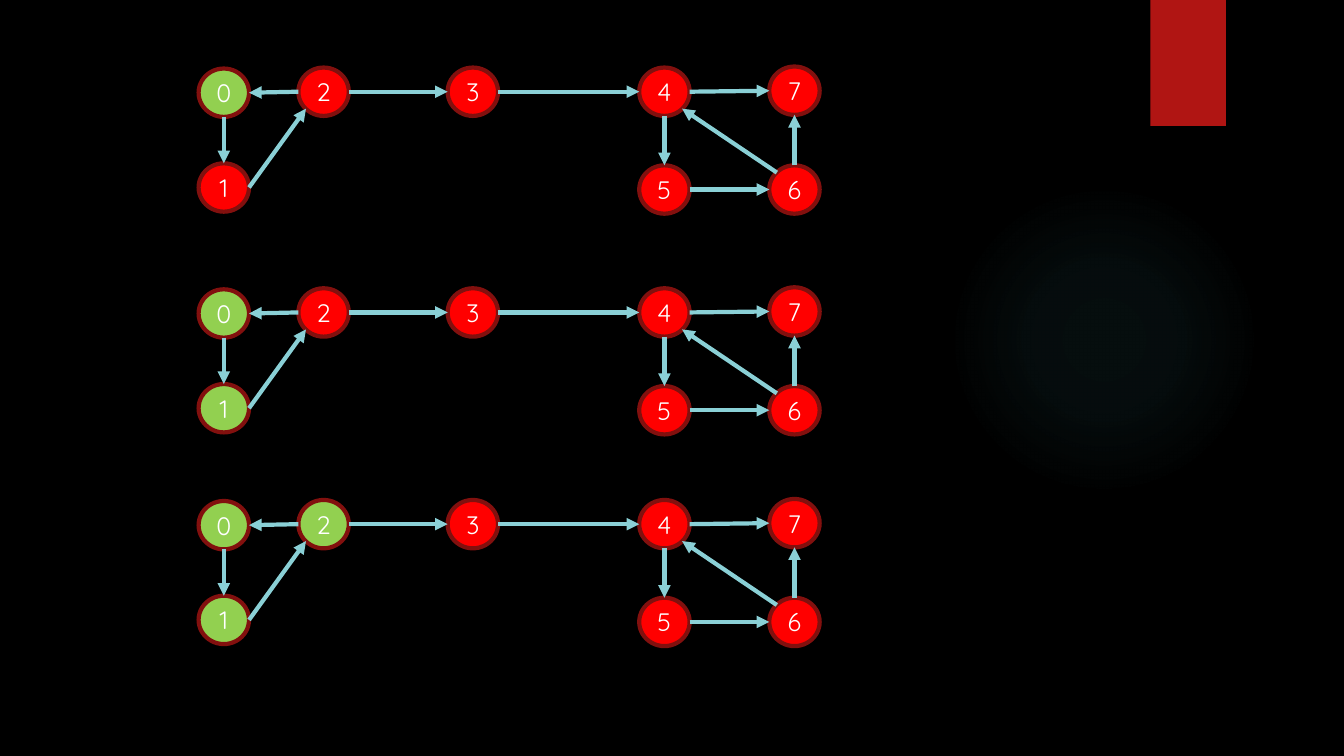
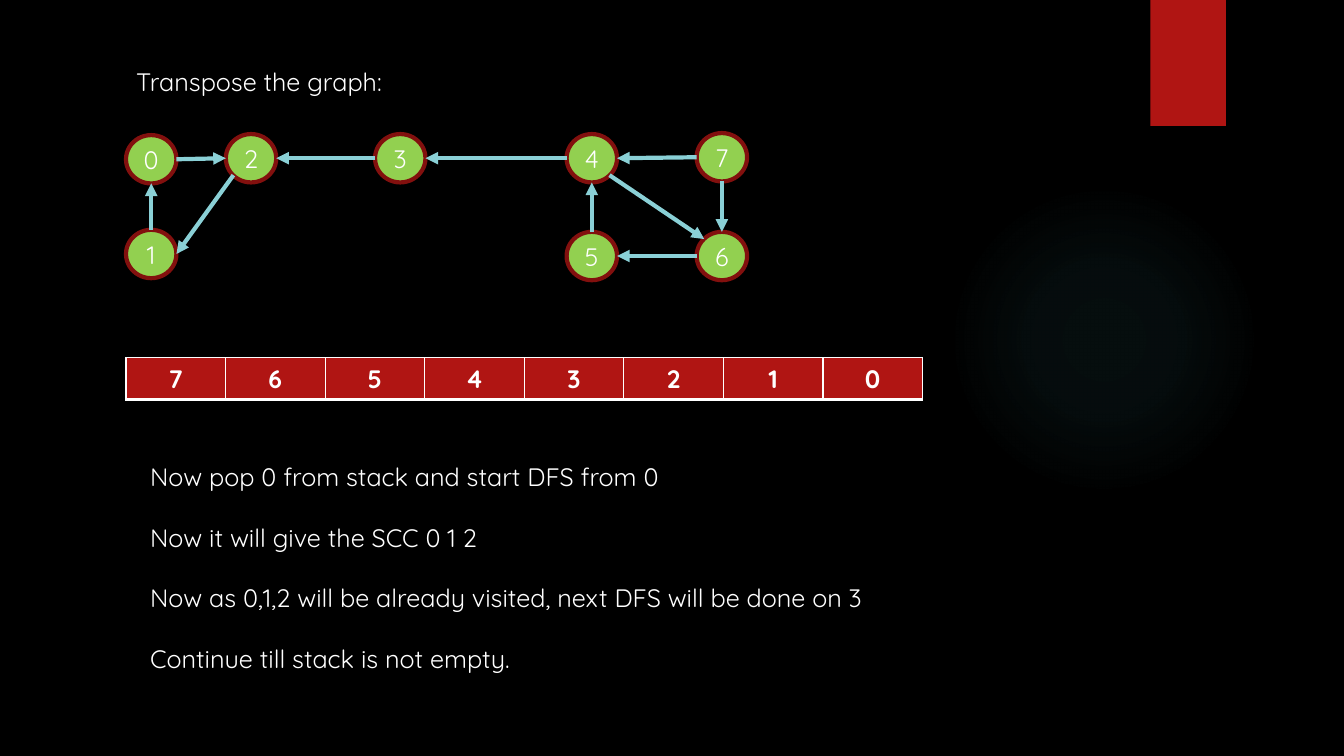
from dataclasses import dataclass

from lxml.etree import SubElement
from pptx import Presentation
from pptx.dml.color import RGBColor
from pptx.enum.shapes import MSO_CONNECTOR, MSO_SHAPE
from pptx.enum.text import MSO_ANCHOR, MSO_AUTO_SIZE, PP_ALIGN
from pptx.oxml import parse_xml
from pptx.oxml.ns import nsdecls, qn
from pptx.util import Inches, Pt


@dataclass(frozen=True)
class Theme:
    font: str = "Quicksand"
    size: int = 18
    line: int = 3
    para_gap: float = 21.6
    background: RGBColor = RGBColor(0x00, 0x00, 0x00)
    text: RGBColor = RGBColor(0xFF, 0xFF, 0xFF)
    accent: RGBColor = RGBColor(0xB0, 0x15, 0x13)
    ring: RGBColor = RGBColor(0x82, 0x10, 0x0E)
    unvisited: RGBColor = RGBColor(0xFF, 0x00, 0x00)
    visited: RGBColor = RGBColor(0x92, 0xD0, 0x50)
    arrow: RGBColor = RGBColor(0x8A, 0xD0, 0xD6)
    glow: RGBColor = RGBColor(0x50, 0xB9, 0xC1)


T = Theme()

NODE_W, NODE_H = 0.5, 0.48
# Node offsets from the top left of the graph
NODES = {
    0: (0, 0.01), 1: (0, 0.95), 2: (0.99, 0), 3: (2.47, 0),
    4: (4.37, 0), 5: (4.37, 0.97), 6: (5.66, 0.97), 7: (5.66, -0.01),
}
# Connection sites of an ellipse: index, then share of its width and height
SITES = {
    "top": (0, 0.5, 0), "top left": (1, 0.15, 0.15), "left": (2, 0, 0.5),
    "bottom left": (3, 0.15, 0.85), "bottom": (4, 0.5, 1),
    "bottom right": (5, 0.85, 0.85), "right": (6, 1, 0.5),
}
EDGES = [
    ((2, "left"), (0, "right")),
    ((0, "bottom"), (1, "top")),
    ((1, "right"), (2, "bottom left")),
    ((2, "right"), (3, "left")),
    ((3, "right"), (4, "left")),
    ((4, "bottom"), (5, "top")),
    ((5, "right"), (6, "left")),
    ((6, "top"), (7, "bottom")),
    ((4, "right"), (7, "left")),
    ((6, "top left"), (4, "bottom right")),
]
TRANSPOSED = [(end, start) for start, end in EDGES]


def write(tf, lines, align=PP_ALIGN.LEFT, bold=False):
    """Fill a text frame with one themed paragraph per line."""
    for i, line in enumerate(lines):
        p = tf.paragraphs[0] if i == 0 else tf.add_paragraph()
        p.alignment = align
        p.space_before = Pt(T.para_gap if i else 0)
        r = p.add_run()
        r.text = line
        for name, value in {"name": T.font, "size": Pt(T.size), "bold": bold}.items():
            setattr(r.font, name, value)
        r.font.color.rgb = T.text


def draw_graph(s, left, top, edges, visited):
    """Draw the nodes, then an arrow glued to the sites of each edge."""
    nodes = {}
    for n, (dx, dy) in NODES.items():
        sp = s.shapes.add_shape(MSO_SHAPE.OVAL, Inches(left + dx), Inches(top + dy),
                                Inches(NODE_W), Inches(NODE_H))
        sp.shadow.inherit = False
        sp.fill.solid()
        sp.fill.fore_color.rgb = T.visited if n in visited else T.unvisited
        sp.line.color.rgb = T.ring
        sp.line.width = Pt(T.line)
        sp.text_frame.vertical_anchor = MSO_ANCHOR.MIDDLE
        write(sp.text_frame, [str(n)], PP_ALIGN.CENTER)
        nodes[n] = sp
    for edge in edges:
        points = []
        for n, site in edge:
            _, fx, fy = SITES[site]
            dx, dy = NODES[n]
            points += [Inches(left + dx + fx * NODE_W), Inches(top + dy + fy * NODE_H)]
        c = s.shapes.add_connector(MSO_CONNECTOR.STRAIGHT, *points)
        c.line.color.rgb = T.arrow
        c.line.width = Pt(T.line)
        SubElement(c.line._get_or_add_ln(), qn("a:tailEnd"), type="triangle")
        SubElement(c._element.spPr, qn("a:effectLst"))
        glue = c._element.nvCxnSpPr.cNvCxnSpPr
        for tag, (n, site) in zip(("a:stCxn", "a:endCxn"), edge):
            SubElement(glue, qn(tag), id=str(nodes[n].shape_id), idx=str(SITES[site][0]))


prs = Presentation()
prs.slide_width, prs.slide_height = Inches(13.33), Inches(7.5)
title_only, blank = prs.slide_layouts[5], prs.slide_layouts[6]

# Slide 1: depth-first search, one graph per visited node
s = prs.slides.add_slide(blank)

# Master: background, glow and red tab, drawn here and moved to the master
master = prs.slide_master
master.background.fill.solid()
master.background.fill.fore_color.rgb = T.background
glow = s.shapes.add_shape(MSO_SHAPE.OVAL, Inches(9.41), Inches(1.83), Inches(3.08), Inches(3.08))
tab = s.shapes.add_shape(MSO_SHAPE.RECTANGLE, Inches(11.41), 0, Inches(0.75), Inches(1.25))
tab.fill.solid()
tab.fill.fore_color.rgb = T.accent
glow.fill.background()
stops = "".join(
    f'<a:gs pos="{pos}000"><a:srgbClr val="{T.glow}"><a:alpha val="{alpha}000"/></a:srgbClr></a:gs>'
    for pos, alpha in ((0, 7), (36, 6), (69, 0)))
gradient = parse_xml(
    f'<a:gradFill {nsdecls("a")}><a:gsLst>{stops}</a:gsLst><a:path path="circle">'
    '<a:fillToRect l="50000" t="50000" r="50000" b="50000"/></a:path></a:gradFill>')
spPr = glow._element.spPr
spPr.replace(spPr.find(qn("a:noFill")), gradient)
for i, sp in enumerate((glow, tab)):
    sp.shadow.inherit = False
    sp.line.fill.background()
    master.shapes.element.insert(2 + i, sp._element)

for top, visited in ((0.67, {0}), (2.86, {0, 1}), (4.96, {0, 1, 2})):
    draw_graph(s, 1.97, top, EDGES, visited)

# Slide 2: transposed graph, stack and steps
s = prs.slides.add_slide(title_only)
title = s.shapes.title
box = {"left": 1.25, "top": 0.61, "width": 7.17, "height": 0.4}
for name, value in box.items():
    setattr(title, name, Inches(value))
title.text_frame.vertical_anchor = MSO_ANCHOR.TOP
write(title.text_frame, ["Transpose the graph:"])

draw_graph(s, 1.25, 1.33, TRANSPOSED, set(NODES))

stack = sorted(NODES, reverse=True)
table = s.shapes.add_table(1, len(stack), Inches(1.25), Inches(3.55),
                           Inches(7.9), Inches(0.41)).table
for cell, n in zip(table.rows[0].cells, stack):
    cell.fill.solid()
    cell.fill.fore_color.rgb = T.accent
    write(cell.text_frame, [str(n)], PP_ALIGN.CENTER, bold=True)
    tcPr = cell._tc.get_or_add_tcPr()
    for i, (side, width) in enumerate({"L": 1, "R": 1, "T": 1, "B": 3}.items()):
        tcPr.insert(i, parse_xml(
            f'<a:ln{side} {nsdecls("a")} w="{Pt(width)}"><a:solidFill>'
            f'<a:srgbClr val="{T.text}"/></a:solidFill></a:ln{side}>'))

tf = s.shapes.add_textbox(Inches(1.39), Inches(4.53), Inches(7.75), Inches(2.22)).text_frame
tf.word_wrap = True
tf.auto_size = MSO_AUTO_SIZE.SHAPE_TO_FIT_TEXT
write(tf, [
    "Now pop 0 from stack and start DFS from 0",
    "Now it will give the SCC 0 1 2",
    "Now as 0,1,2 will be already visited, next DFS will be done on 3",
    "Continue till stack is not empty.",
])

prs.save("out.pptx")
